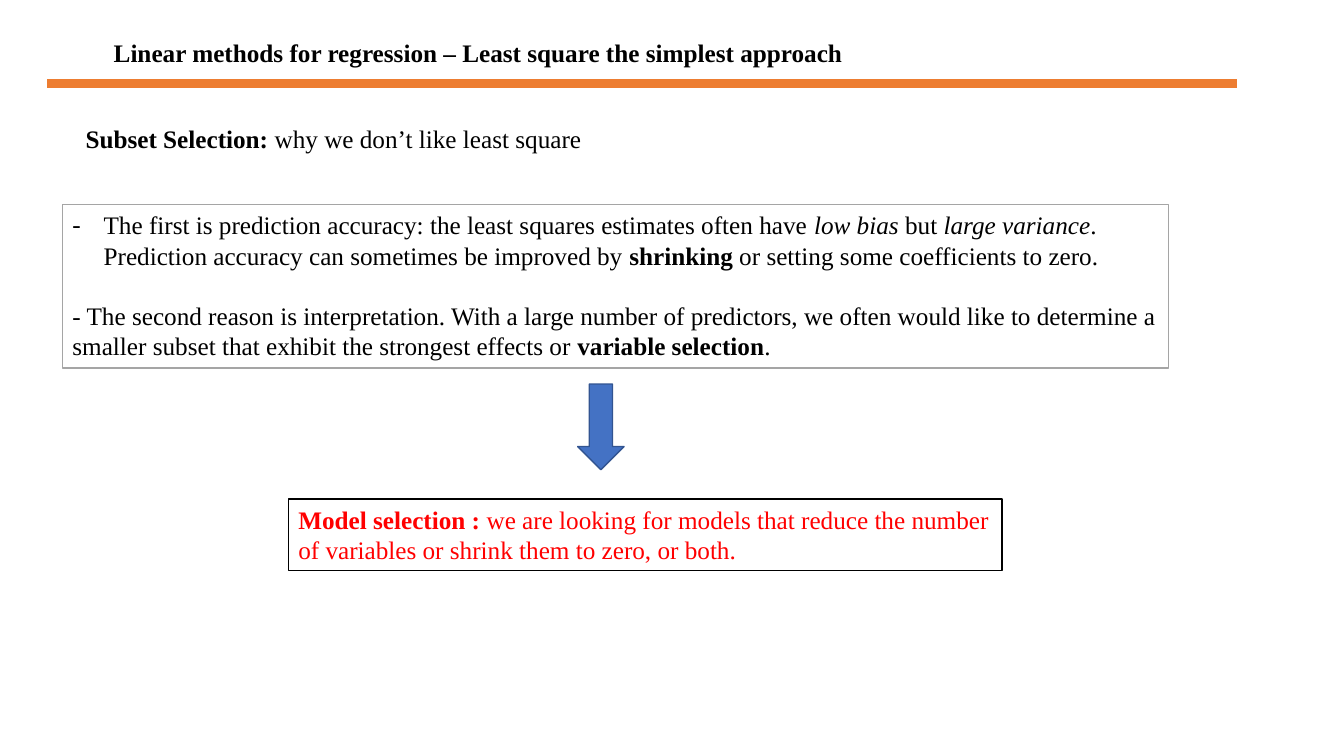
from dataclasses import dataclass

from lxml import etree
from pptx import Presentation
from pptx.dml.color import RGBColor
from pptx.enum import shapes, text
from pptx.oxml.ns import qn
from pptx.util import Inches, Pt


@dataclass(frozen=True)
class Theme:
    font: str = "Times New Roman"
    size: float = 18
    gap: float = 21.6
    black: str = "000000"
    white: str = "FFFFFF"
    red: str = "FF0000"
    orange: str = "ED7D31"
    gray: str = "A5A5A5"
    blue: str = "4472C4"
    navy: str = "325491"


THEME = Theme()


def rgb(value):
    return RGBColor.from_string(value)


def add_rule(page, left, right, y, color, width):
    rule = page.shapes.add_connector(
        shapes.MSO_CONNECTOR.STRAIGHT, Inches(left), Inches(y), Inches(right), Inches(y))
    rule.line.color.rgb = rgb(color)
    rule.line.width = Pt(width)
    etree.SubElement(rule._element.spPr, qn("a:effectLst"))


def add_block(page, kind, place, fill, line):
    block = page.shapes.add_shape(kind, *map(Inches, place))
    block.shadow.inherit = False
    block.fill.solid()
    block.fill.fore_color.rgb = rgb(fill)
    block.line.color.rgb = rgb(line)
    block.line.width = Pt(1)
    return block


def set_dash(para, indent):
    """Give the paragraph a hanging dash bullet."""
    props = para._p.get_or_add_pPr()
    props.set("marL", str(Inches(indent)))
    props.set("indent", str(-Inches(indent)))
    etree.SubElement(props, qn("a:buFont"), typeface=THEME.font)
    etree.SubElement(props, qn("a:buChar"), char="-")


def write(para, content, color=THEME.black, bold=False, italic=False):
    span = para.add_run()
    span.text = content
    span.font.name = THEME.font
    span.font.size = Pt(THEME.size)
    span.font.color.rgb = rgb(color)
    span.font.bold = bold
    span.font.italic = italic


def fill_frame(box, paragraphs, color=THEME.black, wrap=True):
    """Each paragraph is a list of (words, format) pairs."""
    frame = box.text_frame
    frame.word_wrap = wrap
    frame.auto_size = text.MSO_AUTO_SIZE.SHAPE_TO_FIT_TEXT
    frame.vertical_anchor = text.MSO_ANCHOR.TOP
    for index, spans in enumerate(paragraphs):
        para = frame.add_paragraph() if index else frame.paragraphs[0]
        para.alignment = text.PP_ALIGN.LEFT
        if index:
            para.space_before = Pt(THEME.gap)
        for words, style in spans:
            write(para, words, color=color, **style)
    return frame


def add_label(page, place, spans, wrap=True):
    box = page.shapes.add_textbox(*map(Inches, place))
    fill_frame(box, [spans], wrap=wrap)


def add_panel(page, place, line, paragraphs, color=THEME.black):
    box = add_block(page, shapes.MSO_SHAPE.RECTANGLE, place, THEME.white, line)
    return fill_frame(box, paragraphs, color=color)


def main():
    deck = Presentation()
    deck.slide_width, deck.slide_height = Inches(13.33), Inches(7.5)
    page = deck.slides.add_slide(deck.slide_layouts[6])
    plain, bold, italic = {}, {"bold": True}, {"italic": True}

    # Heading
    add_rule(page, 0.47, 12.27, 0.83, THEME.orange, 6)
    add_label(page, (1.03, 0.32, 10.74, 1.01), [
        ("Linear methods for regression – Least square the simplest approach", bold)])
    add_label(page, (0.75, 1.17, 5.21, 0.4), [
        ("Subset Selection: ", bold), ("why we don’t like least square", plain)], wrap=False)

    # Two reasons against least squares
    reasons = add_panel(page, (0.62, 2.03, 10.97, 1.62), THEME.gray, [
        [("The first is prediction accuracy: the least squares estimates often have ", plain),
         ("low bias ", italic), ("but ", plain), ("large variance", italic),
         (". Prediction accuracy can sometimes be improved by ", plain),
         ("shrinking", bold), (" or setting some coefficients to zero.", plain)],
        [("- The second reason is interpretation. With a large number of predictors, we often "
          "would like to determine a smaller subset that exhibit the strongest effects or ", plain),
         ("variable selection", bold), (".", plain)],
    ])
    set_dash(reasons.paragraphs[0], 0.31)

    # Conclusion
    add_block(page, shapes.MSO_SHAPE.DOWN_ARROW, (5.73, 3.81, 0.46, 0.85),
              THEME.blue, THEME.navy)
    add_panel(page, (2.86, 4.95, 7.08, 0.71), THEME.black, [
        [("Model selection : ", bold),
         ("we are looking for models that reduce the number of variables or shrink them "
          "to zero, or both.", plain)],
    ], color=THEME.red)

    deck.save("out.pptx")


if __name__ == "__main__":
    main()
